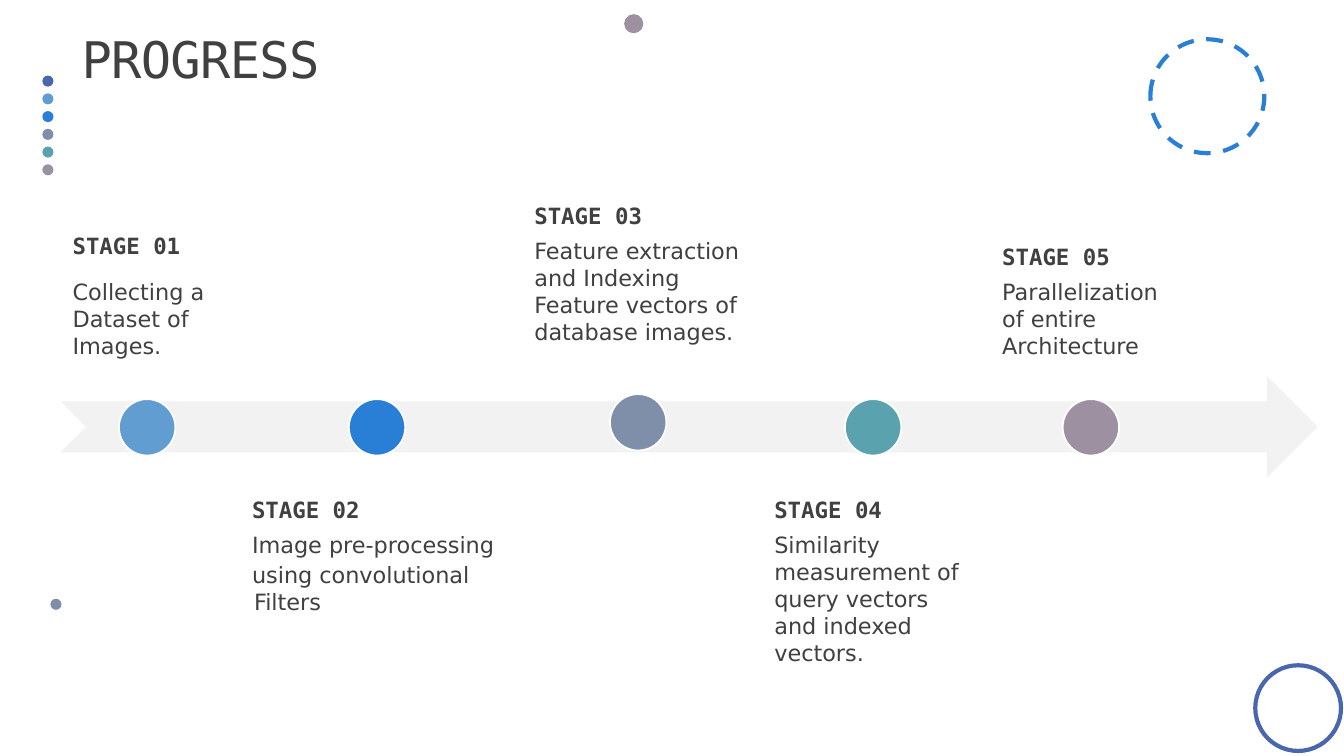
from dataclasses import dataclass

from pptx import Presentation
from pptx.dml.color import RGBColor
from pptx.enum.dml import MSO_LINE
from pptx.enum.shapes import MSO_SHAPE
from pptx.enum.text import MSO_ANCHOR, MSO_AUTO_SIZE, PP_ALIGN
from pptx.util import Inches, Pt

INDIGO = RGBColor(0x4A, 0x66, 0xAC)
SKY = RGBColor(0x62, 0x9D, 0xD1)
BLUE = RGBColor(0x29, 0x7F, 0xD5)
SLATE = RGBColor(0x7F, 0x8F, 0xA9)
TEAL = RGBColor(0x5A, 0xA2, 0xAE)
MAUVE = RGBColor(0x9D, 0x90, 0xA0)
DARK = RGBColor(0x40, 0x40, 0x40)
PALE = RGBColor(0xF2, 0xF2, 0xF2)
WHITE = RGBColor(0xFF, 0xFF, 0xFF)

SANS = "DejaVu Sans"
MONO = "DejaVu Sans Mono"

BULLET_COLORS = (INDIGO, SKY, BLUE, SLATE, TEAL, MAUVE)
BULLET_PITCH = 0.88 / 5
MARKER_SIZE = 0.56


@dataclass(frozen=True)
class Stage:
    body: tuple[str, ...]
    box: tuple[float, float, float, float]
    color: RGBColor
    marker_left: float
    marker_top: float = 3.96
    above: bool = True
    heading_gap: float = 6
    hanging: float = 0


STAGES = (
    Stage(("Collecting a Dataset of Images.",), (0.6, 1.44, 1.72, 2.24),
          SKY, 1.18, heading_gap=13.5),
    Stage(("Image pre-processing", "using convolutional Filters"),
          (2.38, 4.8, 2.72, 2.24), BLUE, 3.46, above=False, hanging=0.02),
    Stage(("Feature extraction and Indexing Feature vectors of database images.",),
          (5.18, 1.49, 2.32, 2.05), SLATE, 6.05, marker_top=3.91),
    Stage(("Similarity measurement of query vectors and indexed vectors.",),
          (7.56, 4.8, 2.21, 2.24), TEAL, 8.38, above=False),
    Stage(("Parallelization of entire Architecture",), (9.82, 1.44, 1.99, 2.24),
          MAUVE, 10.54),
)


def add_figure(slide, kind, left: float, top: float, width: float, height: float,
               fill=None, line=None, weight: float = 1, dash=None):
    """Add a preset shape; fill and outline are omitted when not given."""
    sp = slide.shapes.add_shape(kind, Inches(left), Inches(top),
                                Inches(width), Inches(height))
    sp.shadow.inherit = False
    if fill is None:
        sp.fill.background()
    else:
        sp.fill.solid()
        sp.fill.fore_color.rgb = fill
    if line is None:
        sp.line.fill.background()
    else:
        sp.line.color.rgb = line
        sp.line.width = Pt(weight)
        if dash is not None:
            sp.line.dash_style = dash
    return sp


def add_circle(slide, left: float, top: float, size: float, **style):
    return add_figure(slide, MSO_SHAPE.OVAL, left, top, size, size, **style)


def write(p, text: str, *, font: str = SANS, size: float = 16, bold: bool = False,
          after: float = 0, hanging: float = 0):
    """Put one formatted run into a paragraph and return the run."""
    p.alignment = PP_ALIGN.LEFT
    p.space_before = Pt(0)
    p.space_after = Pt(after)
    if hanging:
        pPr = p._p.get_or_add_pPr()
        pPr.set("marL", str(Inches(hanging)))
        pPr.set("indent", str(-Inches(hanging)))
    r = p.add_run()
    r.text = text
    r.font.name = font
    r.font.size = Pt(size)
    r.font.bold = bold
    r.font.color.rgb = DARK
    return r


def set_frame(tf, anchor, side: float, end: float) -> None:
    tf.word_wrap = True
    tf.auto_size = MSO_AUTO_SIZE.NONE
    tf.vertical_anchor = anchor
    tf.margin_left = tf.margin_right = Inches(side)
    tf.margin_top = tf.margin_bottom = Inches(end)


def add_title(slide, text: str) -> None:
    sp = slide.shapes.title
    sp.left, sp.top = Inches(0.81), Inches(0.18)
    sp.width, sp.height = Inches(11), Inches(0.87)
    set_frame(sp.text_frame, MSO_ANCHOR.MIDDLE, 0, 0.05)
    p = sp.text_frame.paragraphs[0]
    p.line_spacing = 0.9
    r = write(p, text, font=MONO, size=36)
    r._r.get_or_add_rPr().set("spc", "-50")


def add_stage(slide, number: int, stage: Stage) -> None:
    tf = slide.shapes.add_textbox(*map(Inches, stage.box)).text_frame
    set_frame(tf, MSO_ANCHOR.BOTTOM if stage.above else MSO_ANCHOR.TOP, 0.12, 0.12)
    write(tf.paragraphs[0], f"STAGE {number:02d}", font=MONO, bold=True,
          after=stage.heading_gap)
    last = len(stage.body) - 1
    for i, text in enumerate(stage.body):
        write(tf.add_paragraph(), text, after=2.5 if i < last else 0,
              hanging=stage.hanging)
    add_circle(slide, stage.marker_left, stage.marker_top, MARKER_SIZE,
               fill=stage.color, line=WHITE, weight=1.25)


def add_decoration(slide) -> None:
    for i, color in enumerate(BULLET_COLORS):
        add_circle(slide, 0.42, 0.75 + i * BULLET_PITCH, 0.11, fill=color)
    add_circle(slide, 11.41, 0.39, 1.13, line=BLUE, weight=3, dash=MSO_LINE.DASH)
    add_circle(slide, 6.19, 0.14, 0.19, fill=MAUVE)
    add_circle(slide, 0.5, 5.94, 0.11, fill=SLATE)
    add_circle(slide, 12.45, 6.6, 0.85, line=INDIGO, weight=3)


def main() -> None:
    prs = Presentation()
    prs.slide_width, prs.slide_height = Inches(13.33), Inches(7.5)
    slide = prs.slides.add_slide(prs.slide_layouts.get_by_name("Title Only"))
    add_title(slide, "PROGRESS")
    add_decoration(slide)
    add_figure(slide, MSO_SHAPE.NOTCHED_RIGHT_ARROW, 0.6, 3.73, 12.47, 1.01, fill=PALE)
    for number, stage in enumerate(STAGES, start=1):
        add_stage(slide, number, stage)
    prs.save("out.pptx")


if __name__ == "__main__":
    main()
